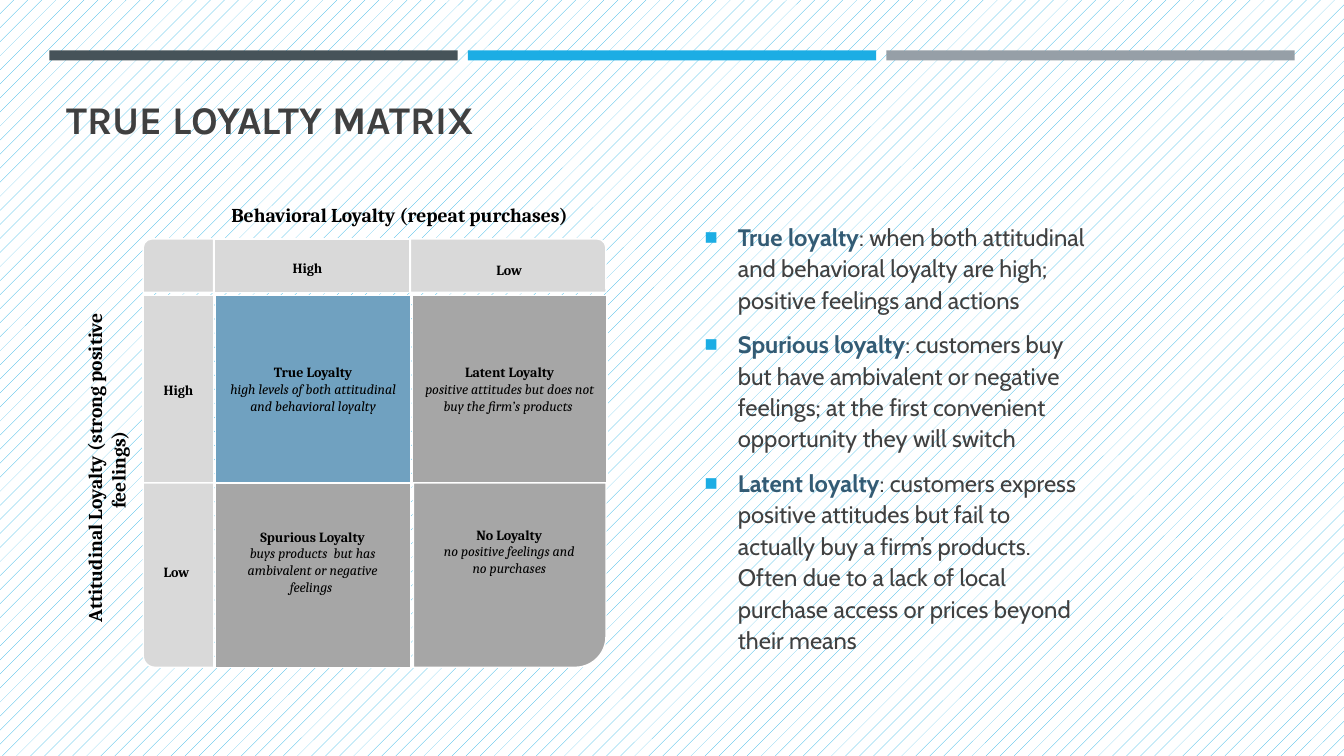
import pptx
import pptx.util
import pptx.dml.color
import pptx.enum.dml
import pptx.enum.shapes
import pptx.enum.text
import pptx.oxml.ns
import lxml.etree

Inches = pptx.util.Inches
Pt = pptx.util.Pt
RGB = pptx.dml.color.RGBColor
SHAPE = pptx.enum.shapes.MSO_SHAPE
ALIGN = pptx.enum.text.PP_ALIGN
ANCHOR = pptx.enum.text.MSO_ANCHOR
qn = pptx.oxml.ns.qn

SLATE = RGB(0x46, 0x53, 0x59)
SKY = RGB(0x1C, 0xAD, 0xE4)
STEEL = RGB(0x96, 0x9F, 0xA7)
INK = RGB(0x40, 0x40, 0x40)
NAVY = RGB(0x33, 0x5B, 0x74)
BLUE = RGB(0x70, 0xA1, 0xC0)
GRAY = RGB(0xA6, 0xA6, 0xA6)
PALE = RGB(0xD9, 0xD9, 0xD9)
BLACK = RGB(0, 0, 0)
WHITE = RGB(0xFF, 0xFF, 0xFF)

deck = pptx.Presentation()
deck.slide_width = Inches(13.33)
deck.slide_height = Inches(7.5)
slide = deck.slides.add_slide(deck.slide_layouts[6])
back = slide.background.fill
back.patterned()
back.pattern = pptx.enum.dml.MSO_PATTERN.PERCENT_5
back.fore_color.rgb = SKY
back.back_color.rgb = WHITE


def block(kind, box, color, edge=False):
    """Add a filled shape, with a thin white outline if edge is set."""
    shape = slide.shapes.add_shape(kind, *map(Inches, box))
    shape.shadow.inherit = False
    shape.fill.solid()
    shape.fill.fore_color.rgb = color
    if edge:
        shape.line.color.rgb = WHITE
        shape.line.width = Pt(1)
    else:
        shape.line.fill.background()
    return shape


def label(box, paras, font, size, anchor=ANCHOR.TOP, align=ALIGN.CENTER):
    """Add a text box; a paragraph is a list of (text, color, bold, italic)."""
    area = slide.shapes.add_textbox(*map(Inches, box))
    frame = area.text_frame
    frame.word_wrap = True
    frame.vertical_anchor = anchor
    frame.margin_left = frame.margin_right = Inches(0.1)
    frame.margin_top = frame.margin_bottom = Inches(0.05)
    for i, parts in enumerate(paras):
        para = frame.paragraphs[0] if i == 0 else frame.add_paragraph()
        para.alignment = align
        for text, color, bold, italic in parts:
            run = para.add_run()
            run.text = text
            run.font.name = font
            run.font.size = Pt(size)
            run.font.color.rgb = color
            run.font.bold = bold
            run.font.italic = italic
    return area


# Top bars and title
for i, color in enumerate([SLATE, SKY, STEEL]):
    block(SHAPE.RECTANGLE, (0.49 + 4.15 * i, 0.5, 4.05, 0.1), color)
label((0.56, 0.58, 8.26, 0.88), [[("TRUE LOYALTY MATRIX", INK, True, False)]],
      "Karla", 28, ANCHOR.BOTTOM, ALIGN.LEFT)

# Definitions
terms = [
    ("True loyalty", ": when both attitudinal and behavioral loyalty are high; "
     "positive feelings and actions"),
    ("Spurious loyalty", ": customers buy but have ambivalent or negative "
     "feelings; at the first convenient opportunity they will switch"),
    ("Latent loyalty", ": customers express positive attitudes but fail to "
     "actually buy a firm’s products. Often due to a lack of local purchase "
     "access or prices beyond their means"),
]
body = label((6.89, 1.63, 3.97, 5.41),
             [[(term, NAVY, True, False), (text, INK, False, False)]
              for term, text in terms],
             "Cabin", 17, ANCHOR.MIDDLE, ALIGN.LEFT)
for para in body.text_frame.paragraphs:
    para.line_spacing = 1.1
    para.space_before = Pt(3.4)
    para.space_after = Pt(6)
    props = para._p.get_or_add_pPr()
    props.set("marL", str(Inches(0.33)))
    props.set("indent", str(Inches(-0.33)))
    tint = lxml.etree.SubElement(props, qn("a:buClr"))
    lxml.etree.SubElement(tint, qn("a:srgbClr")).set("val", str(SKY))
    lxml.etree.SubElement(props, qn("a:buSzPct")).set("val", "92000")
    lxml.etree.SubElement(props, qn("a:buFont")).set("typeface", "Arial")
    lxml.etree.SubElement(props, qn("a:buChar")).set("char", "■")

# Axis titles
label((2.12, 1.96, 3.69, 0.33),
      [[("Behavioral Loyalty (repeat purchases)", BLACK, True, False)]],
      "Cambria", 14)
side = label((-0.83, 4.36, 3.76, 0.56),
             [[("Attitudinal Loyalty (strong positive feelings) ",
                BLACK, True, False)]], "Cambria", 14)
side.rotation = 270

# Matrix cells: kind, box, fill, turn, mirrored
RECT, ROUND = SHAPE.RECTANGLE, SHAPE.ROUND_1_RECTANGLE
cells = [
    (RECT, (1.42, 2.93, 0.7, 1.86), PALE, 0, False),
    (ROUND, (1.42, 4.79, 0.7, 1.83), PALE, 180, False),
    (ROUND, (4.1, 4.79, 1.91, 1.83), GRAY, 180, True),
    (RECT, (2.14, 2.93, 1.93, 1.86), BLUE, 0, False),
    (RECT, (4.09, 2.93, 1.93, 1.86), GRAY, 0, False),
    (RECT, (2.14, 4.79, 1.93, 1.83), GRAY, 0, False),
    (ROUND, (4.07, 2.37, 1.94, 0.53), PALE, 0, False),
    (ROUND, (1.42, 2.37, 0.7, 0.53), PALE, 0, True),
    (RECT, (2.13, 2.37, 1.93, 0.53), PALE, 0, False),
]
for kind, box, color, turn, mirror in cells:
    cell = block(kind, box, color, True)
    cell.rotation = turn
    if mirror:
        cell._element.spPr.find(qn("a:xfrm")).set("flipH", "1")

# Matrix text
notes = [
    ((2.14, 2.93, 1.93, 1.86), ANCHOR.MIDDLE, "True Loyalty",
     "high levels of both attitudinal and behavioral loyalty"),
    ((4.09, 2.93, 1.93, 1.86), ANCHOR.MIDDLE, "Latent Loyalty",
     "positive attitudes but does not buy the firm’s products "),
    ((4.26, 5.17, 1.58, 0.99), ANCHOR.TOP, "No Loyalty",
     "no positive feelings and no purchases"),
    ((2.14, 5.19, 1.92, 0.99), ANCHOR.TOP, "Spurious Loyalty",
     "buys products  but has ambivalent or negative feelings "),
]
for box, anchor, name, text in notes:
    label(box, [[(name, BLACK, True, False)], [(text, BLACK, False, True)]],
          "Cambria", 10, anchor)
for left, top, level in [(2.7, 2.42, "High"), (4.7, 2.44, "Low"),
                         (1.42, 3.63, "High"), (1.4, 5.44, "Low")]:
    label((left, top, 0.7, 0.47), [[(level, BLACK, True, False)]],
          "Cambria", 10, ANCHOR.MIDDLE)

deck.save("out.pptx")
